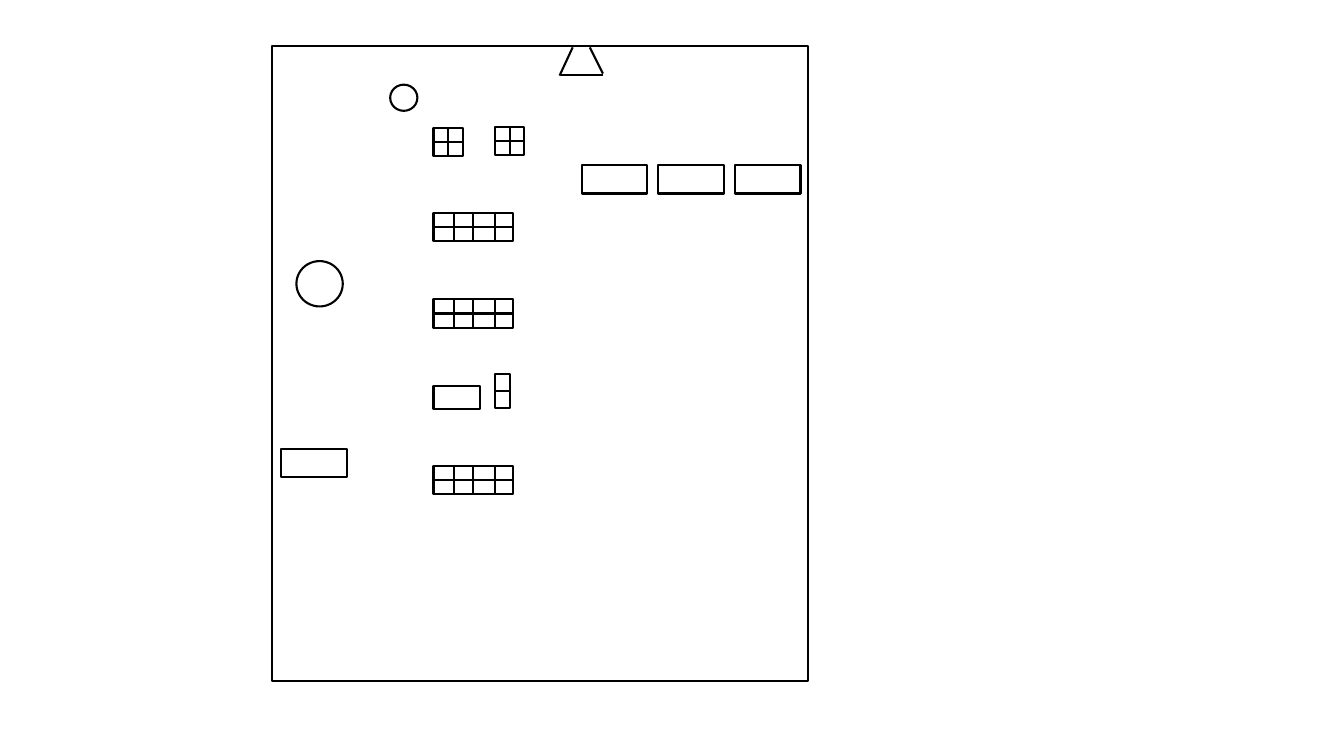
"""Draw a room floor plan with desk blocks, tables and a screen."""
from dataclasses import dataclass
from typing import Optional

from pptx import Presentation
from pptx.dml.color import RGBColor as Color
from pptx.enum.shapes import MSO_CONNECTOR as Conn, MSO_SHAPE as Kind
from pptx.oxml.ns import qn
from pptx.shapes.autoshape import Shape
from pptx.shapes.connector import Connector
from pptx.shapes.shapetree import SlideShapes as Tree
from pptx.util import Inches, Pt
from lxml.etree import SubElement


@dataclass(frozen=True)
class Theme:
    """Hold the colours and line width."""
    ink: Color = Color(0, 0, 0)
    paper: Color = Color(255, 255, 255)
    line: float = 1.5


@dataclass(frozen=True)
class Item:
    """Describe one outlined object, in inches."""
    left: float
    top: float
    width: float
    height: float
    kind: Kind = Kind.RECTANGLE
    fill: Optional[Color] = None


@dataclass(frozen=True)
class Desk:
    """Describe a block of seats with an optional middle row line and column cuts."""
    item: Item
    cuts: tuple[float, ...] = ()


@dataclass(frozen=True)
class Edge:
    """Describe a straight line, in inches."""
    x1: float
    y1: float
    x2: float
    y2: float


THEME = Theme()
ROOM = Item(2.7, 0.46, 5.31, 6.3, fill=THEME.paper)
TABLES = [Item(5.77 + 0.76 * i, 1.64, 0.65, 0.28) for i in range(3)]
ITEMS = [
    Item(2.79, 4.45, 0.65, 0.28),
    Item(4.3, 3.83, 0.46, 0.23),
    *TABLES,
    Item(3.87, 0.84, 0.27, 0.26, Kind.OVAL),
    Item(2.94, 2.59, 0.46, 0.45, Kind.OVAL),
]
LONG = [Desk(Item(4.3, top, 0.79, 0.28), (0.2, 0.4, 0.61)) for top in (4.62, 2.97, 2.11)]
SQUARE = [Desk(Item(x, y, 0.29, 0.28), (0.145,)) for x, y in ((4.3, 1.27), (4.91, 1.26))]
DESKS = [*LONG, Desk(Item(4.91, 3.71, 0.15, 0.34)), *SQUARE]
SCREEN = [
    Edge(5.68, 0.47, 5.55, 0.75),
    Edge(5.98, 0.73, 5.85, 0.47),
    Edge(5.98, 0.74, 5.56, 0.74),
]


def add_item(tree: Tree, item: Item) -> Shape:
    """Add an outlined shape."""
    box = (item.left, item.top, item.width, item.height)
    shape = tree.add_shape(item.kind, *map(Inches, box))
    shape.shadow.inherit = False
    if item.fill is None:
        shape.fill.background()
    else:
        shape.fill.solid()
        shape.fill.fore_color.rgb = item.fill
    shape.line.color.rgb = THEME.ink
    shape.line.width = Pt(THEME.line)
    return shape


def add_edge(tree: Tree, edge: Edge) -> Connector:
    """Add a straight line."""
    ends = (edge.x1, edge.y1, edge.x2, edge.y2)
    line = tree.add_connector(Conn.STRAIGHT, *map(Inches, ends))
    line.line.color.rgb = THEME.ink
    line.line.width = Pt(THEME.line)
    SubElement(line._element.spPr, qn("a:effectLst"))
    return line


def join(line: Connector, shape: Shape, start: int, end: int) -> None:
    """Join a line to two sides of a shape."""
    line.begin_connect(shape, start)
    line.end_connect(shape, end)


def add_desk(tree: Tree, desk: Desk) -> None:
    """Add a desk block and its dividers."""
    item = desk.item
    shape = add_item(tree, item)
    mid = item.top + item.height / 2
    row = add_edge(tree, Edge(item.left, mid, item.left + item.width, mid))
    join(row, shape, 1, 3)
    for i, cut in enumerate(desk.cuts):
        x = item.left + cut
        line = add_edge(tree, Edge(x, item.top, x, item.top + item.height))
        if i == len(desk.cuts) // 2:
            join(line, shape, 0, 2)


def main() -> None:
    """Build and save the slide."""
    deck = Presentation()
    deck.slide_width, deck.slide_height = Inches(13.33), Inches(7.5)
    tree = deck.slides.add_slide(deck.slide_layouts[6]).shapes
    add_item(tree, ROOM)
    for desk in DESKS:
        add_desk(tree, desk)
    for item in ITEMS:
        add_item(tree, item)
    for edge in SCREEN:
        add_edge(tree, edge)
    deck.save("out.pptx")


if __name__ == "__main__":
    main()
